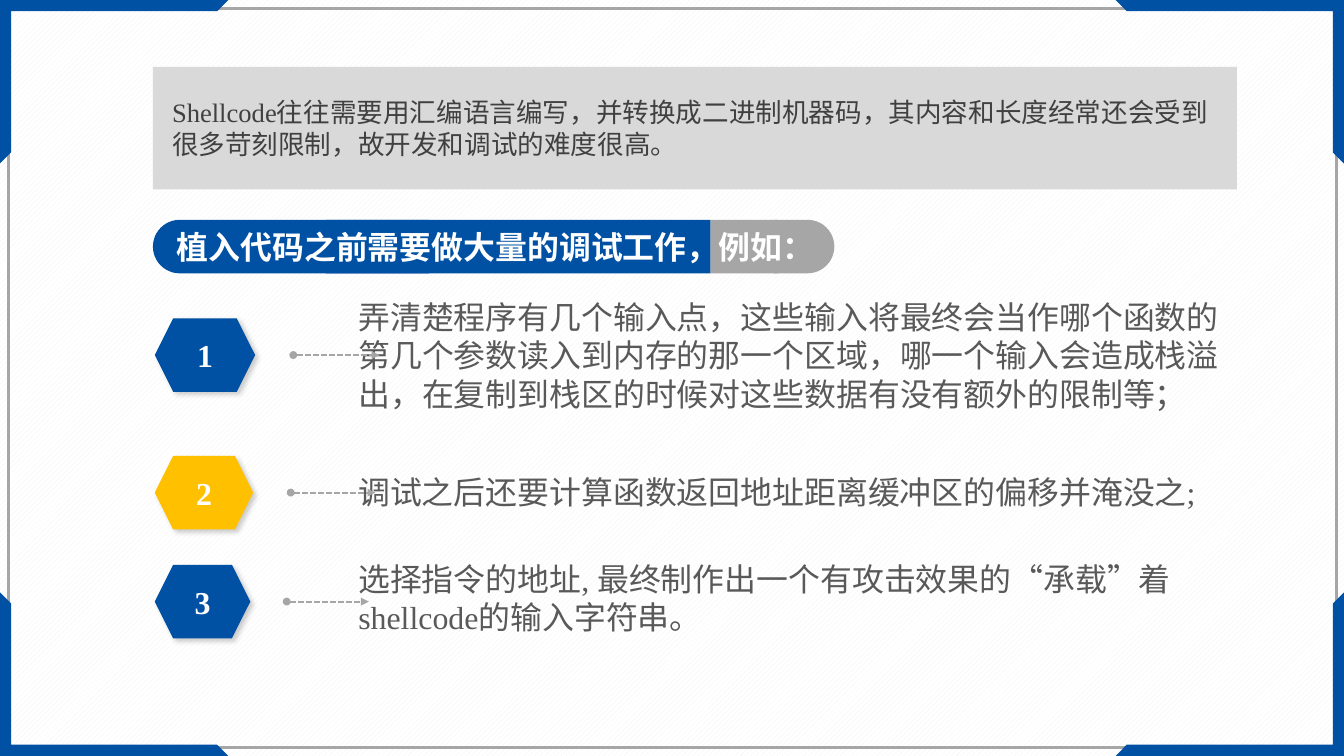
from itertools import product

from lxml.etree import SubElement
from pptx import Presentation
from pptx.dml.color import RGBColor
from pptx.enum.dml import MSO_LINE, MSO_PATTERN
from pptx.enum.shapes import MSO_CONNECTOR, MSO_SHAPE as SHAPE
from pptx.enum.text import MSO_ANCHOR as ANCHOR, PP_ALIGN as ALIGN
from pptx.oxml.ns import qn
from pptx.util import Pt

WIDTH, HEIGHT = 1012.3, 569.5
FONT = "Times New Roman"
COLORS = {
    "blue": "0050A3", "yellow": "FFC000", "gray": "A6A6A6", "panel": "D9D9D9",
    "dark": "404040", "body": "595959", "white": "FFFFFF", "hatch": "F2F2F2",
    "black": "000000",
}
INTRO = ("Shellcode往往需要用汇编语言编写，并转换成二进制机器码，"
         "其内容和长度经常还会受到很多苛刻限制，故开发和调试的难度很高。")
HEADING = "植入代码之前需要做大量的调试工作，例如："
# Hexagon top, hexagon width, colour, text top, text width, text height, text
STEPS = [
    (239.8, 75.6, "blue", 220.3, 671, 94.3,
     "弄清楚程序有几个输入点，这些输入将最终会当作哪个函数的第几个参数读入到"
     "内存的那一个区域，哪一个输入会造成栈溢出，在复制到栈区的时候对这些数据"
     "有没有额外的限制等；"),
    (343.4, 74.2, "yellow", 352.8, 657.4, 36,
     "调试之后还要计算函数返回地址距离缓冲区的偏移并淹没之;"),
    (425.5, 72, "blue", 417.6, 657.4, 66,
     "选择指令的地址, 最终制作出一个有攻击效果的“承载”着shellcode的输入字符串。"),
]


def rgb(name):
    return RGBColor.from_string(COLORS[name])


def fill_plain(sp, color):
    sp.shadow.inherit = False
    sp.fill.solid()
    sp.fill.fore_color.rgb = rgb(color)
    sp.line.fill.background()


def add_block(s, kind, x, y, w, h, color):
    sp = s.shapes.add_shape(kind, Pt(x), Pt(y), Pt(w), Pt(h))
    fill_plain(sp, color)
    return sp


def add_half_pill(s, x, y, w, h, color, rotation):
    """Bar with one rounded end; x, y, w, h describe it as it appears."""
    sp = add_block(s, SHAPE.ROUND_2_SAME_RECTANGLE,
                   x + (w - h) / 2, y + (h - w) / 2, h, w, color)
    sp.adjustments[0] = 0.5
    sp.rotation = rotation


def set_text(sp, text, size, color, bold=False, align=ALIGN.LEFT,
             anchor=ANCHOR.MIDDLE, inset=(7.2, 3.6)):
    tf = sp.text_frame
    tf.word_wrap = True
    tf.vertical_anchor = anchor
    tf.margin_left = tf.margin_right = Pt(inset[0])
    tf.margin_top = tf.margin_bottom = Pt(inset[1])
    p = tf.paragraphs[0]
    p.text = text
    p.alignment = align
    p.font.name, p.font.size, p.font.bold = FONT, Pt(size), bold
    p.font.color.rgb = rgb(color)


def add_text(s, x, y, w, h, text, color, **style):
    sp = s.shapes.add_textbox(Pt(x), Pt(y), Pt(w), Pt(h))
    set_text(sp, text, 24, color, **style)


def add_soft_shadow(sp):
    effects = sp._element.spPr.find(qn("a:effectLst"))
    shadow = SubElement(effects, qn("a:outerShdw"), blurRad=str(Pt(4)),
                        dist=str(Pt(3)), dir="2700000", algn="tl", rotWithShape="0")
    tint = SubElement(shadow, qn("a:srgbClr"), val=COLORS["black"])
    SubElement(tint, qn("a:alpha"), val="20000")


def add_dashed_arrow(s, x1, x2, y):
    sp = s.shapes.add_connector(MSO_CONNECTOR.STRAIGHT, Pt(x1), Pt(y), Pt(x2), Pt(y))
    sp.line.color.rgb = rgb("gray")
    sp.line.width = Pt(1.5)
    sp.line.dash_style = MSO_LINE.SQUARE_DOT
    ln = sp.line._get_or_add_ln()
    SubElement(ln, qn("a:headEnd"), type="oval")
    SubElement(ln, qn("a:tailEnd"), type="triangle")
    SubElement(sp._element.spPr, qn("a:effectLst"))


def add_corner(s, right, bottom):
    arm, leg, t = 172, 123.2, 8.4
    outline = [(0, 0), (arm, 0), (arm - t, t), (t, t), (t, leg - t), (0, leg)]
    points = [(Pt(WIDTH - x if right else x), Pt(HEIGHT - y if bottom else y))
              for x, y in outline]
    builder = s.shapes.build_freeform(*points[0])
    builder.add_line_segments(points[1:], close=True)
    fill_plain(builder.convert_to_shape(), "blue")


def add_frame(s):
    fill = s.background.fill
    fill.patterned()
    fill.pattern = MSO_PATTERN.WIDE_UPWARD_DIAGONAL
    fill.fore_color.rgb, fill.back_color.rgb = rgb("hatch"), rgb("white")
    border = add_block(s, SHAPE.RECTANGLE, 6.5, 6.5, 1000, 556.5, "white")
    border.fill.background()
    border.line.color.rgb = rgb("gray")
    border.line.width = Pt(2)
    for right, bottom in product((False, True), repeat=2):
        add_corner(s, right, bottom)


def add_heading(s):
    y, h = 165.6, 40.3
    add_block(s, SHAPE.RECTANGLE, 535, y, 51, h, "gray")
    add_block(s, SHAPE.RECTANGLE, 245.5, y, 289.5, h, "blue")
    add_half_pill(s, 115.2, y, 208, h, "blue", 270)
    add_half_pill(s, 583, y, 45.4, h, "gray", 90)
    add_text(s, 122.4, y, 491.8, h, HEADING, "white", bold=True,
             anchor=ANCHOR.TOP, inset=(10.8, 5.76))


def add_step(s, number, top, w, color, text_top, text_w, text_h, text):
    x, h = 116.6, 55.4
    sp = add_block(s, SHAPE.HEXAGON, x, top, w, h, color)
    add_soft_shadow(sp)
    set_text(sp, str(number), 24, "white", bold=True, align=ALIGN.CENTER)
    add_text(s, 262.8, text_top, text_w, text_h, text, "body")
    # The arrow scales with the hexagon and runs through its middle
    add_dashed_arrow(s, x + 1.38 * w, x + 2.24 * w, top + h / 2)


def main():
    prs = Presentation()
    prs.slide_width, prs.slide_height = Pt(WIDTH), Pt(HEIGHT)
    s = prs.slides.add_slide(prs.slide_layouts[6])
    add_frame(s)

    # Introduction panel
    panel = add_block(s, SHAPE.RECTANGLE, 115.2, 50.4, 816.5, 92.2, "panel")
    set_text(panel, INTRO, 20, "dark", inset=(14.4, 3.6))

    # Heading and numbered steps
    add_heading(s)
    for number, step in enumerate(STEPS, 1):
        add_step(s, number, *step)
    prs.save("out.pptx")


if __name__ == "__main__":
    main()
